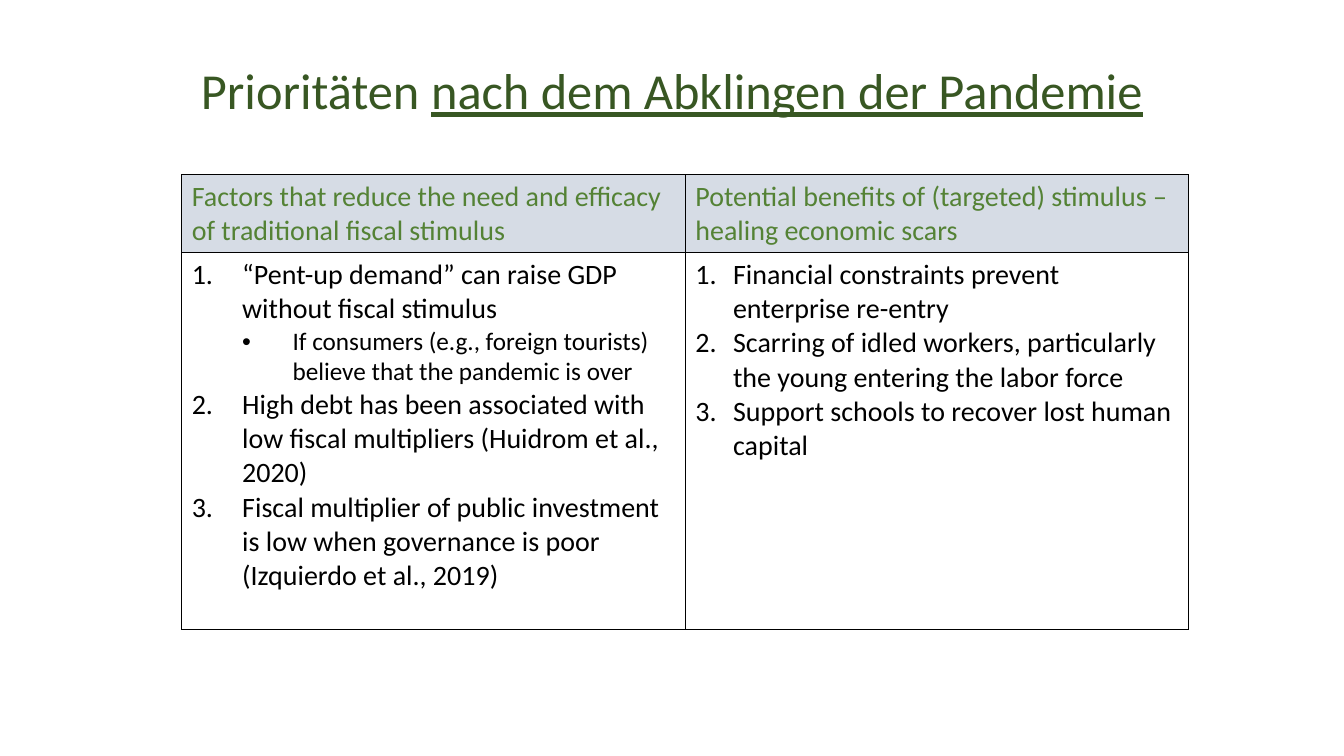
from lxml.etree import SubElement
from pptx import Presentation
from pptx.dml.color import RGBColor as RGB
from pptx.enum.text import MSO_ANCHOR as Anchor, PP_ALIGN as Align
from pptx.oxml.ns import qn
from pptx.util import Cm, Pt

COLORS = {"title": "385723", "head": "548235", "text": "000000",
          "band": "D6DCE5", "body": "FFFFFF", "line": "000000"}
FONT = "Calibri"
TITLE = [("Prioritäten ", False), ("nach dem Abklingen der Pandemie", True)]
HEADS = ["Factors that reduce the need and efficacy of traditional fiscal stimulus",
         "Potential benefits of (targeted) stimulus – healing economic scars"]
LISTS = [
    (1.27, [
        (0, "“Pent-up demand” can raise GDP without fiscal stimulus"),
        (1, "If consumers (e.g., foreign tourists) believe that the pandemic is over"),
        (0, "High debt has been associated with low fiscal multipliers (Huidrom et al., 2020)"),
        (0, "Fiscal multiplier of public investment is low when governance is poor "
            "(Izquierdo et al., 2019)")]),
    (0.95, [
        (0, "Financial constraints prevent enterprise re-entry"),
        (0, "Scarring of idled workers, particularly the young entering the labor force"),
        (0, "Support schools to recover lost human capital")]),
]


def style(para, size, color):
    """Set the font of a whole paragraph."""
    font = para.font
    font.name, font.size, font.bold = FONT, Pt(size), False
    font.color.rgb = RGB.from_string(COLORS[color])


def mark(para, level, step):
    """Number a top-level paragraph, or bullet a nested one."""
    para.level = level
    props = para._p.get_or_add_pPr()
    props.set("marL", str(Cm(step * (level + 1))))
    props.set("indent", str(-Cm(step)))
    if level:
        SubElement(props, qn("a:buFont"), typeface="Arial")
        SubElement(props, qn("a:buChar"), char="•")
    else:
        SubElement(props, qn("a:buFont"), typeface="+mj-lt")
        SubElement(props, qn("a:buAutoNum"), type="arabicPeriod")


def paint(cell, fill):
    """Give a cell thin borders and a fill."""
    props = cell._tc.get_or_add_tcPr()
    for side in "LRTB":
        line = SubElement(props, qn(f"a:ln{side}"), w=str(Pt(1)))
        solid = SubElement(line, qn("a:solidFill"))
        SubElement(solid, qn("a:srgbClr"), val=COLORS["line"])
    cell.fill.solid()
    cell.fill.fore_color.rgb = RGB.from_string(COLORS[fill])


def add_title(slide, left, top, width, height):
    """Place the centred title with its underlined part."""
    frame = slide.shapes.add_textbox(left, top, width, height).text_frame
    frame.word_wrap = True
    frame.vertical_anchor = Anchor.MIDDLE
    para = frame.paragraphs[0]
    para.alignment, para.line_spacing = Align.CENTER, 0.9
    style(para, 36, "title")
    for text, under in TITLE:
        run = para.add_run()
        run.text = text
        if under:
            run.font.underline = True


def add_grid(slide, left, top, width, height):
    """Place the table of headings and numbered lists."""
    table = slide.shapes.add_table(2, len(HEADS), left, top, width, height).table
    table.horz_banding = False
    table.rows[0].height = Cm(1.96)
    table.rows[1].height = height - Cm(1.96)
    for col, (head, (step, items)) in enumerate(zip(HEADS, LISTS)):
        cell = table.cell(0, col)
        paint(cell, "band")
        cell.text = head
        style(cell.text_frame.paragraphs[0], 20, "head")
        cell = table.cell(1, col)
        paint(cell, "body")
        frame = cell.text_frame
        for i, (level, text) in enumerate(items):
            para = frame.add_paragraph() if i else frame.paragraphs[0]
            para.text = text
            mark(para, level, step)
            style(para, 18 if level else 20, "text")


def main():
    """Build the slide and save it."""
    deck = Presentation()
    deck.slide_width, deck.slide_height = Cm(33.87), Cm(19.05)
    slide = deck.slides.add_slide(deck.slide_layouts[6])
    add_title(slide, Cm(2.33), Cm(1.01), Cm(29.21), Cm(2.67))
    add_grid(slide, Cm(4.58), Cm(4.4), Cm(25.38), Cm(11.46))
    deck.save("out.pptx")


if __name__ == "__main__":
    main()
